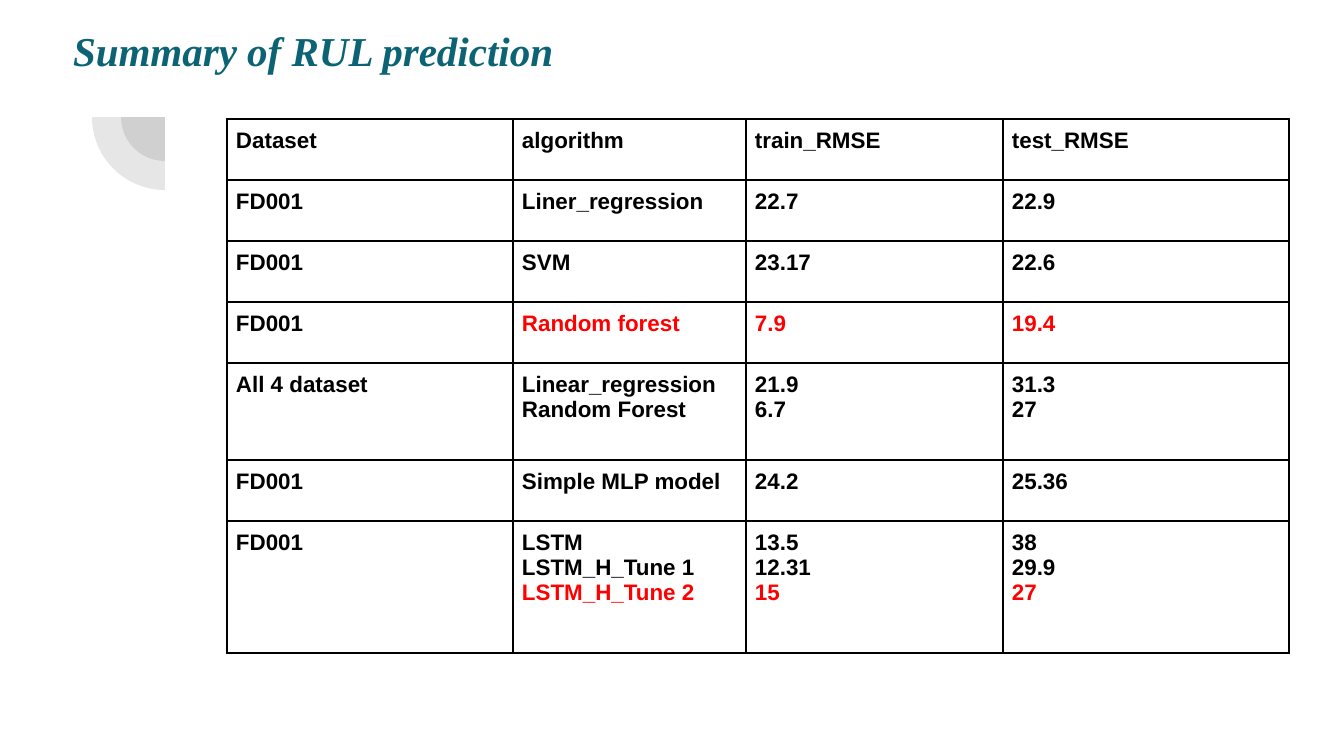
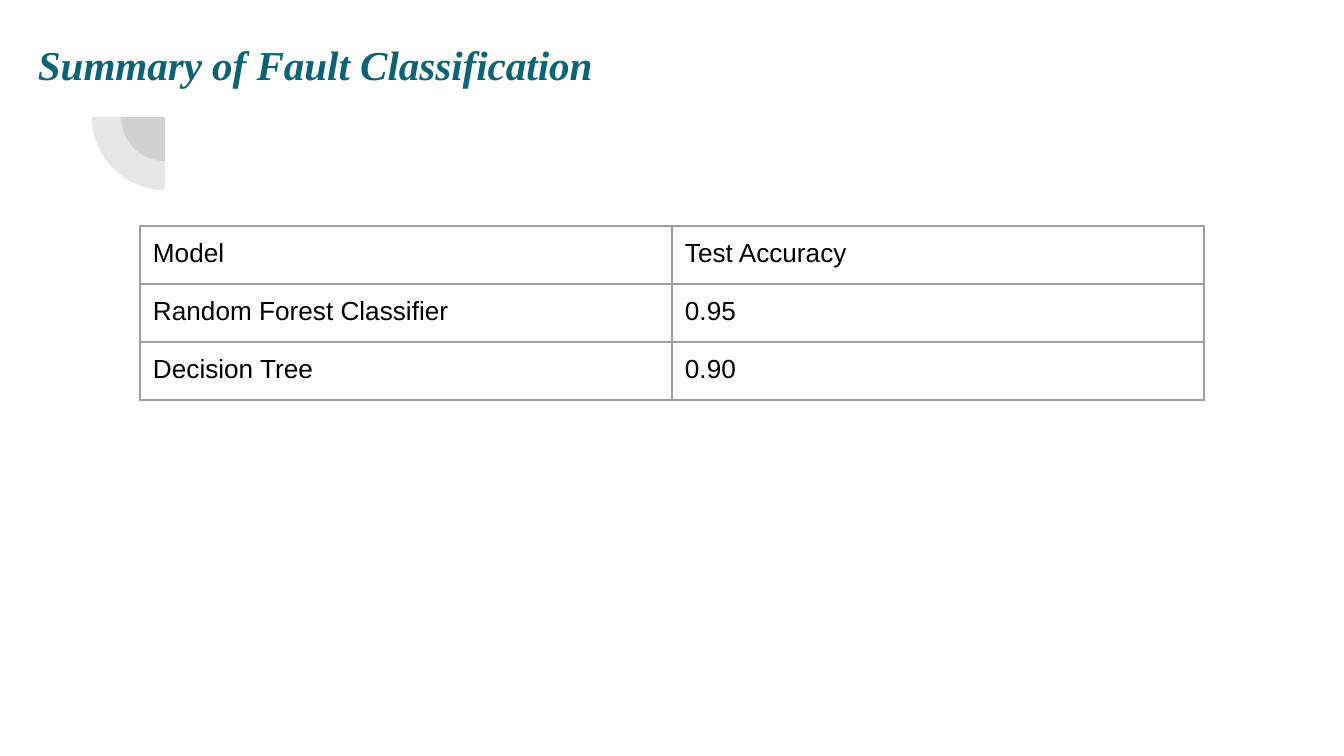
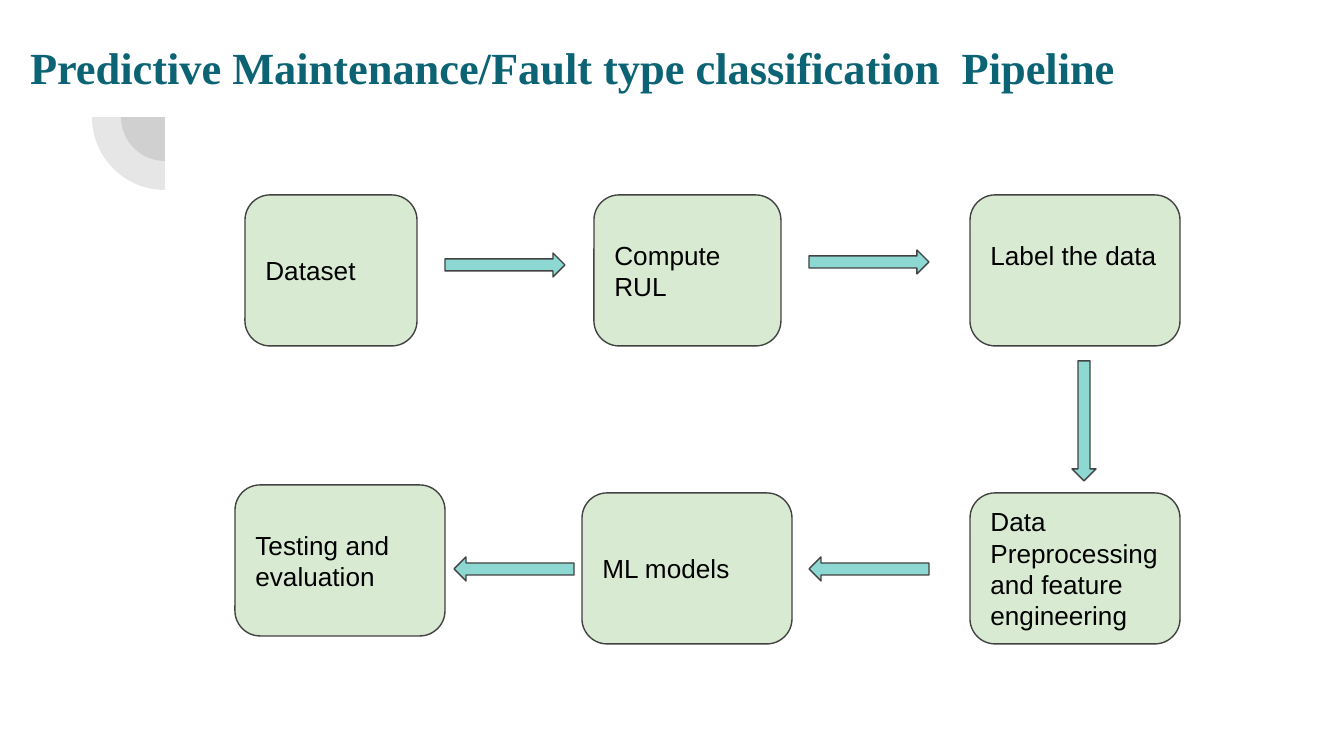
from dataclasses import dataclass

from lxml import etree
from pptx import Presentation
from pptx.dml.color import RGBColor
from pptx.enum.shapes import MSO_SHAPE, PP_PLACEHOLDER
from pptx.enum.text import MSO_ANCHOR, MSO_AUTO_SIZE, PP_ALIGN
from pptx.oxml.ns import qn
from pptx.util import Emu, Pt

PIE = MSO_SHAPE.PIE
ROUNDED = MSO_SHAPE.ROUNDED_RECTANGLE
ARROW = MSO_SHAPE.RIGHT_ARROW
TITLE = PP_PLACEHOLDER.TITLE
MIDDLE = MSO_ANCHOR.MIDDLE
TOP = MSO_ANCHOR.TOP
LEFT = PP_ALIGN.LEFT
NO_AUTOFIT = MSO_AUTO_SIZE.NONE

EMU_PER_PX = 914400 / 134.4
SLIDE_W, SLIDE_H = 1344, 756
INSET = 13
TEXT_LINE = 31


@dataclass(frozen=True)
class Theme:
    """Colours, fonts and type sizes of the deck."""
    title: str = "0B6374"
    text: str = "000000"
    best: str = "FF0000"
    dark: str = "424242"
    grid: str = "9E9E9E"
    step: str = "D9EAD3"
    arrow: str = "8DD8D3"
    title_font: str = "Times New Roman"
    body_font: str = "Arial"
    title_size: float = 22
    long_title_size: float = 23.8
    body_size: float = 14
    small_size: float = 12
    line: float = 0.75


THEME = Theme()

RUL_ROWS = [
    ("Dataset", "algorithm", "train_RMSE", "test_RMSE"),
    ("FD001", "Liner_regression", "22.7", "22.9"),
    ("FD001", "SVM", "23.17", "22.6"),
    ("FD001", "Random forest", "7.9", "19.4"),
    ("All 4 dataset", "Linear_regression\nRandom Forest", "21.9\n6.7", "31.3\n27"),
    ("FD001", "Simple MLP model", "24.2", "25.36"),
    ("FD001", "LSTM\nLSTM_H_Tune 1\nLSTM_H_Tune 2", "13.5\n12.31\n15", "38\n29.9\n27"),
]
RUL_BEST = {(3, 0), (6, 2)}

FAULT_ROWS = [
    ("Model", "Test Accuracy"),
    ("Random Forest Classifier", "0.95"),
    ("Decision Tree", "0.90"),
]

STEP_H = 151
STEPS = [
    ("Dataset", 10, 0, 172, 0),
    ("Compute RUL", 359, 0, 187, 0),
    ("Label the data", 735, 0, 210, TEXT_LINE),
    ("Data Preprocessing and feature engineering", 735, 298, 210, 0),
    ("ML models", 347, 298, 210, 0),
    ("Testing and evaluation", 0, 290, 210, 0),
]
ARROW_W, ARROW_H = 120, 24
ARROWS = [(210, 58, 0), (574, 55, 0), (789, 214, 90), (574, 362, 180), (219, 362, 180)]


def px(n):
    """Turn px into EMU."""
    return Emu(round(n * EMU_PER_PX))


def rgb(color):
    """Turn a hex string into a colour."""
    return RGBColor.from_string(color)


def set_insets(frame, inset):
    """Give a text frame or cell equal insets."""
    frame.margin_left = frame.margin_right = px(inset)
    frame.margin_top = frame.margin_bottom = px(inset)


def format_paragraph(p, font, size, color, bold=False, italic=False):
    """Left-align a paragraph and format its runs."""
    p.alignment = LEFT
    for r in p.runs:
        r.font.name = font
        r.font.size = Pt(size)
        r.font.color.rgb = rgb(color)
        r.font.bold = bold
        r.font.italic = italic


def add_shape(slide, kind, box, fill, line=None):
    """Add a flat preset shape."""
    sp = slide.shapes.add_shape(kind, *map(px, box))
    sp.shadow.inherit = False
    sp.fill.solid()
    sp.fill.fore_color.rgb = rgb(fill)
    if line:
        sp.line.color.rgb = rgb(line)
        sp.line.width = Pt(THEME.line)
    else:
        sp.line.fill.background()
    return sp


def decorate_layout(layout, slide, cx, cy):
    """Put the two translucent quarter circles on the shared layout."""
    for ph in list(layout.placeholders):
        if ph.placeholder_format.type != TITLE:
            ph.element.getparent().remove(ph.element)
    for radius in (44, 73):
        box = (cx - radius, cy - radius, 2 * radius, 2 * radius)
        sp = add_shape(slide, PIE, box, THEME.dark)
        sp.adjustments[0], sp.adjustments[1] = 108, 162
        sp.rotation = 270
        color = sp.element.spPr.find(qn("a:solidFill"))[0]
        etree.SubElement(color, qn("a:alpha"), val="13000")
        layout.shapes.element.append(sp.element)


def add_title(slide, text, box, size=THEME.title_size, italic=True):
    """Fill, place and format the title placeholder."""
    sp = slide.shapes.title
    sp.left, sp.top, sp.width, sp.height = map(px, box)
    tf = sp.text_frame
    tf.text = text
    tf.word_wrap = True
    tf.auto_size = NO_AUTOFIT
    tf.vertical_anchor = MIDDLE
    set_insets(tf, INSET)
    format_paragraph(tf.paragraphs[0], THEME.title_font, size, THEME.title, True, italic)


def set_borders(cell, color, width):
    """Draw the four borders of a cell."""
    tc_pr = cell._tc.get_or_add_tcPr()
    for side in ("lnL", "lnR", "lnT", "lnB"):
        ln = etree.SubElement(tc_pr, qn(f"a:{side}"), w=str(Pt(width)))
        fill = etree.SubElement(ln, qn("a:solidFill"))
        etree.SubElement(fill, qn("a:srgbClr"), val=color)


def add_grid(slide, origin, widths, heights, rows, inset, size, border,
             bold=False, best=frozenset()):
    """Add an unfilled table, with the best result lines highlighted."""
    box = (*origin, sum(widths), sum(heights))
    table = slide.shapes.add_table(len(rows), len(widths), *map(px, box)).table
    table.first_row = table.horz_banding = False
    for column, width in zip(table.columns, widths):
        column.width = px(width)
    for i, (row, height) in enumerate(zip(rows, heights)):
        table.rows[i].height = px(height)
        for j, text in enumerate(row):
            cell = table.cell(i, j)
            cell.text_frame.text = text
            cell.vertical_anchor = TOP
            set_insets(cell, inset)
            set_borders(cell, *border)
            cell.fill.background()
            for k, p in enumerate(cell.text_frame.paragraphs):
                color = THEME.best if j and (i, k) in best else THEME.text
                format_paragraph(p, THEME.body_font, size, color, bold)


def add_pipeline(slide, x, y):
    """Add the process steps and the block arrows between them."""
    for text, dx, dy, width, lift in STEPS:
        sp = add_shape(slide, ROUNDED, (x + dx, y + dy, width, STEP_H),
                       THEME.step, THEME.dark)
        tf = sp.text_frame
        tf.text = text
        tf.word_wrap = True
        tf.vertical_anchor = MIDDLE
        set_insets(tf, INSET)
        tf.margin_bottom = px(INSET + lift)
        format_paragraph(tf.paragraphs[0], THEME.body_font, THEME.body_size, THEME.text)
    for dx, dy, angle in ARROWS:
        sp = add_shape(slide, ARROW, (x + dx, y + dy, ARROW_W, ARROW_H),
                       THEME.arrow, THEME.dark)
        sp.rotation = angle


def main():
    """Build and save the deck."""
    prs = Presentation()
    prs.slide_width, prs.slide_height = px(SLIDE_W), px(SLIDE_H)
    layout = prs.slide_layouts[5]
    rul, fault, pipeline = [prs.slides.add_slide(layout) for _ in range(3)]
    decorate_layout(layout, rul, 165, 117)

    add_title(rul, "Summary of RUL prediction", (60, 12, 907, 77))
    add_grid(rul, (227, 119), [286, 233, 257, 286], [61, 61, 61, 61, 97, 61, 132],
             RUL_ROWS, 9, THEME.small_size, (THEME.text, 1), True, RUL_BEST)

    add_title(fault, "Summary of Fault Classification", (25, 26, 907, 77))
    add_grid(fault, (140, 226), [532] * 2, [58] * 3,
             FAULT_ROWS, INSET, THEME.body_size, (THEME.grid, THEME.line))

    add_title(pipeline, "Predictive Maintenance/Fault type classification  Pipeline",
              (17, 23, 1121, 87), THEME.long_title_size, False)
    add_pipeline(pipeline, 235, 195)
    prs.save("out.pptx")


if __name__ == "__main__":
    main()
